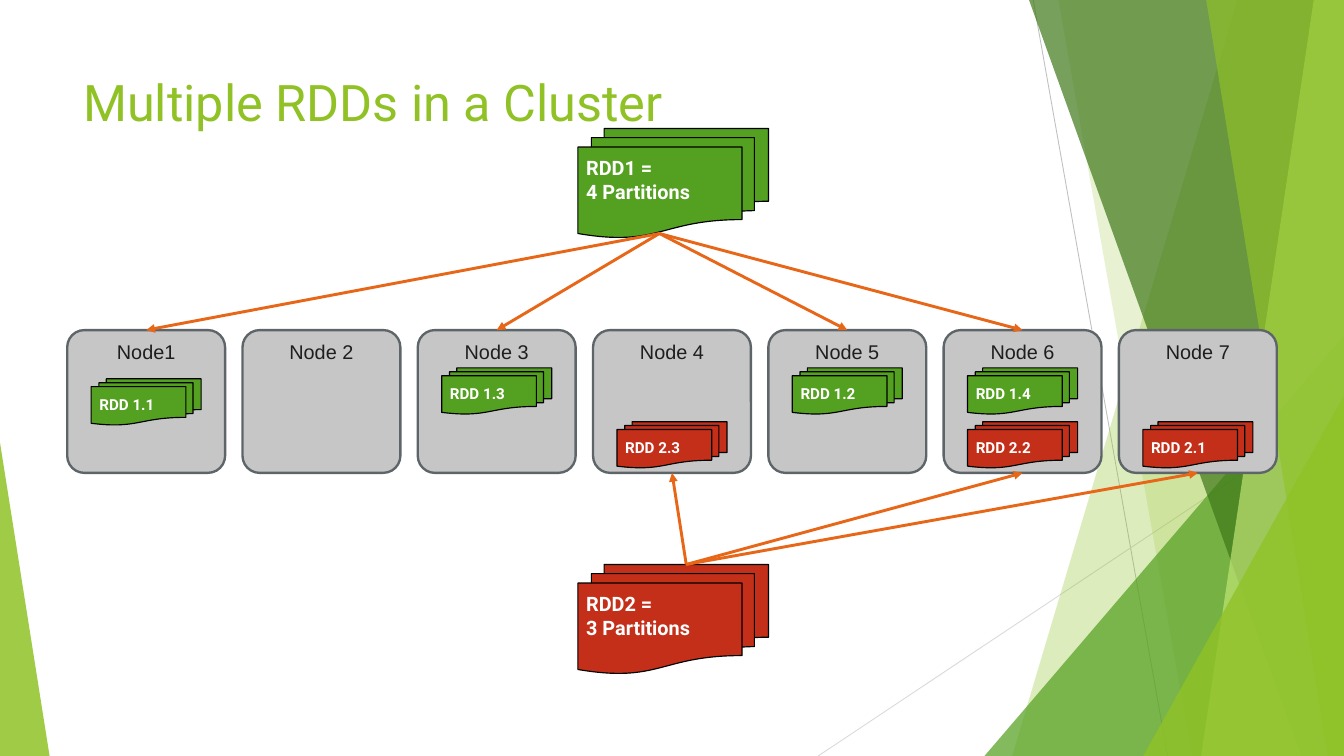
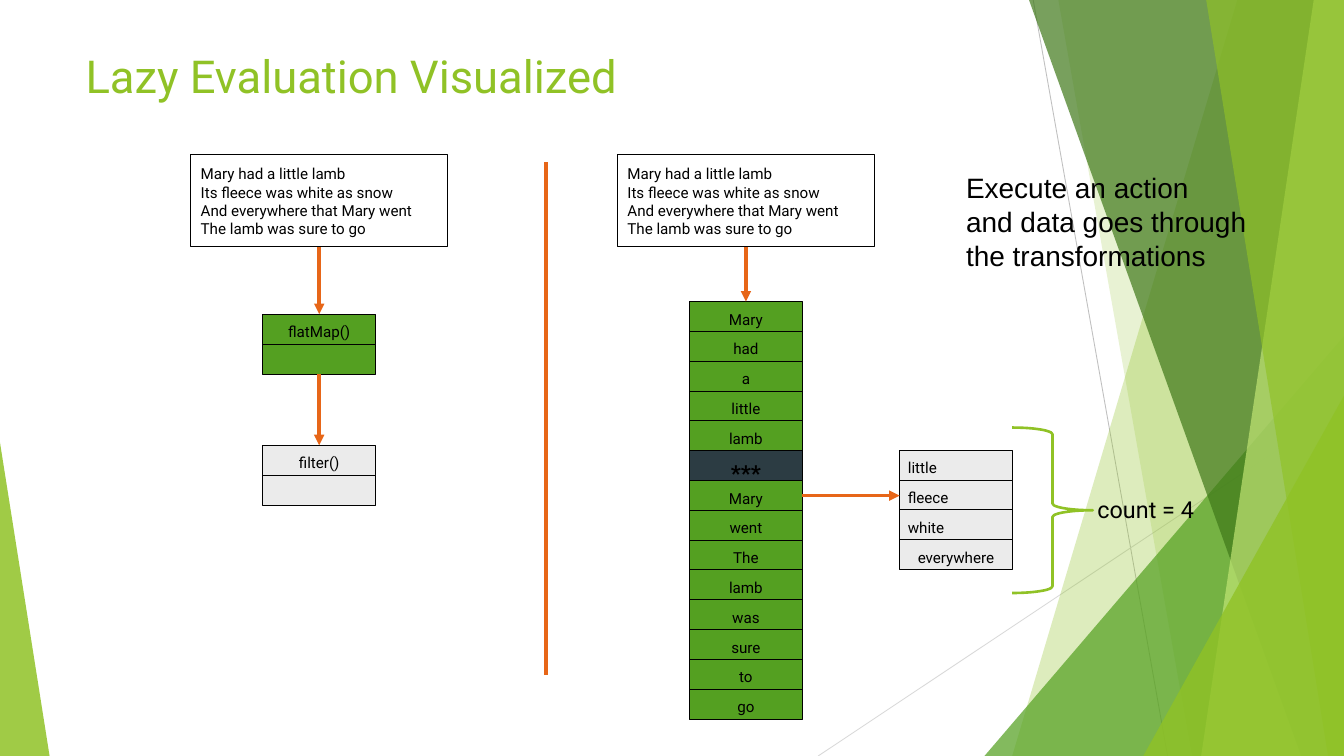
from lxml.etree import SubElement
from pptx import Presentation
from pptx.dml.color import RGBColor
from pptx.enum.shapes import MSO_CONNECTOR, MSO_SHAPE
from pptx.enum.text import MSO_ANCHOR, PP_ALIGN
from pptx.oxml.ns import qn
from pptx.util import Inches, Pt

COLORS = {
    "lime": "90C226", "green": "54A021", "dark green": "3F7819", "pale lime": "C0E474",
    "red": "C42F1A", "orange": "E76618", "slate": "2C3C43", "node": "C6C6C6",
    "node edge": "5E6568", "ink": "1E1E1E", "light": "EBEBEB", "black": "000000",
    "white": "FFFFFF", "hairline": "BFBFBF", "faint hairline": "D9D9D9",
}
SLIDE_W, SLIDE_H = 16, 9

# Backdrop, from back to front
HAIRLINES = [((12.3, 0), (13.9, 9), "hairline"), ((16, 4.83), (9.74, 9), "faint hairline")]
# band: top left x, bottom left x, colour, opacity
# triangle: left, top, width, apex (0 left, 1 right), colour, opacity
BACKDROP = [
    ("band", 14.73, 12.05, "lime", 30),
    ("band", 12.6, 14.19, "lime", 20),
    ("triangle", 11.72, 4, 4.28, 1, "green", 72),
    ("band", 12.25, 15.49, "dark green", 70),
    ("band", 15.64, 14.3, "pale lime", 70),
    ("band", 14.36, 15.81, "lime", 65),
    ("triangle", 13.61, 4.71, 2.39, 1, "lime", 80),
    ("triangle", 0, 5.27, 0.59, 0, "lime", 85),
]

# Cluster slide
NODES = ["Node1", "Node 2", "Node 3", "Node 4", "Node 5", "Node 6", "Node 7"]
# label, node number, top
RDDS = [
    {"label": "RDD1 = \v4 Partitions", "color": "green", "top": 1.53, "arrows": (7.85, 2.78),
     "node side": 0,
     "partitions": [("RDD 1.1", 1, 4.51), ("RDD 1.2", 5, 4.38),
                    ("RDD 1.3", 3, 4.38), ("RDD 1.4", 6, 4.38)]},
    {"label": "RDD2 = \v3 Partitions", "color": "red", "top": 6.72, "arrows": (8.17, 6.72),
     "node side": 2,
     "partitions": [("RDD 2.3", 4, 5.02), ("RDD 2.2", 6, 5.02), ("RDD 2.1", 7, 5.02)]},
]

# Lazy evaluation slide
POEM = ["Mary had a little lamb", "Its fleece was white as snow",
        "And everywhere that Mary went", "The lamb was sure to go"]
WORDS = ["Mary", "had", "a", "little", "lamb", "***", "Mary", "went",
         "The", "lamb", "was", "sure", "to", "go"]
KEPT_WORDS = ["little", "fleece", "white", "everywhere"]
ACTION = "Execute an action\vand data goes through\vthe transformations"
POEM_W, POEM_H, POEM_TOP = 3.06, 1.1, 1.84
CELL_W, CELL_H, CELL_PITCH = 1.34, 0.36, 0.355


def rgb(color):
    return RGBColor.from_string(COLORS[color])


def write(shape, text, size, color="black", font="Roboto", bold=False, align=PP_ALIGN.LEFT,
          anchor=MSO_ANCHOR.TOP, insets=(0.1, 0.1, 0.1, 0.1), wrap=True):
    """Fill the shape with text; insets run left, top, right, bottom."""
    frame = shape.text_frame
    frame.text = text
    frame.word_wrap = wrap
    frame.vertical_anchor = anchor
    frame.margin_left, frame.margin_top, frame.margin_right, frame.margin_bottom = map(
        Inches, insets)
    for paragraph in frame.paragraphs:
        paragraph.alignment = align
        for run in paragraph.runs:
            run.font.size, run.font.name, run.font.bold = Pt(size), font, bold
            run.font.color.rgb = rgb(color)


def paint(shape, fill=None, edge=None, edge_width=0.75, opacity=100):
    shape.shadow.inherit = False
    if fill:
        shape.fill.solid()
        shape.fill.fore_color.rgb = rgb(fill)
        if opacity < 100:
            srgb = shape.element.spPr.find(qn("a:solidFill")).find(qn("a:srgbClr"))
            SubElement(srgb, qn("a:alpha")).set("val", str(opacity * 1000))
    else:
        shape.fill.background()
    if edge:
        shape.line.color.rgb = rgb(edge)
        shape.line.width = Pt(edge_width)
    else:
        shape.line.fill.background()


def add_box(slide, preset, left, top, width, height, **look):
    shape = slide.shapes.add_shape(preset, *map(Inches, (left, top, width, height)))
    paint(shape, **look)
    return shape


def add_text(slide, left, top, width, height, text, size, **style):
    box = slide.shapes.add_textbox(*map(Inches, (left, top, width, height)))
    write(box, text, size, **style)
    return box


def add_line(slide, start, end, color="orange", width=3, arrow=False):
    line = slide.shapes.add_connector(MSO_CONNECTOR.STRAIGHT, *map(Inches, (*start, *end)))
    line.line.color.rgb = rgb(color)
    line.line.width = Pt(width)
    if arrow:
        SubElement(line.line._get_or_add_ln(), qn("a:tailEnd")).set("type", "triangle")
    SubElement(line.element.spPr, qn("a:effectLst"))
    return line


def add_band(slide, top_x, bottom_x, color, opacity):
    """Draw a four-cornered band that reaches the right edge of the slide."""
    corners = [(SLIDE_W, 0), (SLIDE_W, SLIDE_H), (bottom_x, SLIDE_H)]
    outline = slide.shapes.build_freeform(Inches(top_x), 0)
    outline.add_line_segments([(Inches(x), Inches(y)) for x, y in corners])
    paint(outline.convert_to_shape(), fill=color, opacity=opacity)


def add_triangle(slide, left, top, width, apex, color, opacity):
    triangle = add_box(slide, MSO_SHAPE.ISOSCELES_TRIANGLE, left, top, width, SLIDE_H - top,
                       fill=color, opacity=opacity)
    triangle.adjustments[0] = apex


def move_backdrop_to_layout(slide):
    """Draw the backdrop on an empty slide, then hand it to the layout all slides share."""
    for start, end, color in HAIRLINES:
        add_line(slide, start, end, color, 0.75)
    draw = {"band": add_band, "triangle": add_triangle}
    for kind, *details in BACKDROP:
        draw[kind](slide, *details)
    for shape in list(slide.shapes):
        slide.slide_layout.shapes.element.append(shape.element)


def add_title(slide, left, top, width, height, text, size):
    add_text(slide, left, top, width, height, text, size, color="lime",
             insets=(0.1, 0.05, 0.1, 0.05))


def add_cells(slide, left, top, words, color, left_aligned=()):
    """Stack one cell per word; an empty word gives an empty cell."""
    for row, word in enumerate(words):
        gap = word == "***"
        cell = add_box(slide, MSO_SHAPE.RECTANGLE, left, top + row * CELL_PITCH, CELL_W, CELL_H,
                       fill="slate" if gap else color, edge="black")
        if word:
            write(cell, word, 19 if gap else 13, bold=gap,
                  align=PP_ALIGN.LEFT if word in left_aligned else PP_ALIGN.CENTER)


def add_documents(slide, left, top, width, height, label, size, color):
    pages = add_box(slide, MSO_SHAPE.FLOWCHART_MULTIDOCUMENT, left, top, width, height,
                    fill=color, edge="black", edge_width=1)
    write(pages, label, size, color="white", bold=True)


def build_cluster(slide):
    add_title(slide, 0.89, 0.8, 11.28, 1.73, "Multiple RDDs in a Cluster", 43.2)
    first_left, last_right, node_w, node_top, node_h = 0.8, 15.2, 1.88, 3.93, 1.7
    pitch = (last_right - first_left - node_w) / (len(NODES) - 1)
    partition_w, partition_h = 1.31, 0.55

    nodes = []
    for index, name in enumerate(NODES):
        node = add_box(slide, MSO_SHAPE.ROUNDED_RECTANGLE, first_left + index * pitch, node_top,
                       node_w, node_h, fill="node", edge="node edge", edge_width=2)
        node.adjustments[0] = 0.12
        write(node, name, 17, color="ink", font="Arial", align=PP_ALIGN.CENTER,
              insets=(0.1, 0.05, 0.1, 0.1))
        nodes.append(node)

    for rdd in RDDS:
        for label, number, top in rdd["partitions"]:
            left = first_left + (number - 1) * pitch + (node_w - partition_w) / 2
            add_documents(slide, left, top, partition_w, partition_h, label, 13, rdd["color"])
        add_documents(slide, 6.88, rdd["top"], 2.27, 1.3, rdd["label"], 17, rdd["color"])
    for rdd in RDDS:
        for _, number, _ in rdd["partitions"]:
            arrow = add_line(slide, rdd["arrows"], rdd["arrows"], width=2.5, arrow=True)
            arrow.end_connect(nodes[number - 1], rdd["node side"])


def build_lazy_evaluation(slide):
    add_title(slide, 0.92, 0.52, 14.4, 0.51, "Lazy Evaluation Visualized", 38.9)
    add_text(slide, 11.38, 1.97, 4.08, 1.33, ACTION, 24, font="Arial", wrap=False,
             anchor=MSO_ANCHOR.MIDDLE, insets=(0.12,) * 4)

    plan_x, run_x = 3.8, 8.88
    poem_bottom = POEM_TOP + POEM_H
    for center in (plan_x, run_x):
        poem = add_box(slide, MSO_SHAPE.RECTANGLE, center - POEM_W / 2, POEM_TOP, POEM_W, POEM_H,
                       edge="black")
        write(poem, "\n".join(POEM), 13, insets=(0.12,) * 4)
    add_line(slide, (6.5, 1.93), (6.5, 8.03), width=3.75)

    flat_map_top, filter_top, words_top, kept_top, kept_left = 3.74, 5.3, 3.59, 5.36, 10.71
    add_cells(slide, plan_x - CELL_W / 2, flat_map_top, ["flatMap()", ""], "green")
    add_cells(slide, plan_x - CELL_W / 2, filter_top, ["filter()", ""], "light")
    add_cells(slide, run_x - CELL_W / 2, words_top, WORDS, "green")
    add_cells(slide, kept_left, kept_top, KEPT_WORDS, "light", left_aligned=KEPT_WORDS[:3])

    for start, end in [
        ((plan_x, poem_bottom), (plan_x, flat_map_top)),
        ((plan_x, flat_map_top + 2 * CELL_PITCH), (plan_x, filter_top)),
        ((run_x, poem_bottom), (run_x, words_top)),
        ((run_x + CELL_W / 2, 5.9), (kept_left, 5.9)),
    ]:
        add_line(slide, start, end, arrow=True)

    add_box(slide, MSO_SHAPE.RIGHT_BRACE, kept_left + CELL_W, 5.09, 0.96, 1.97,
            edge="lime", edge_width=2.25)
    count = add_text(slide, 12.72, 5.94, 1.84, 0.29, "count = 4", 20, align=PP_ALIGN.CENTER,
                     anchor=MSO_ANCHOR.MIDDLE, insets=(0,) * 4)
    count.text_frame.paragraphs[0].line_spacing = 0.85


def main():
    deck = Presentation()
    deck.slide_width, deck.slide_height = Inches(SLIDE_W), Inches(SLIDE_H)
    blank = deck.slide_layouts[6]
    cluster = deck.slides.add_slide(blank)
    move_backdrop_to_layout(cluster)
    build_cluster(cluster)
    build_lazy_evaluation(deck.slides.add_slide(blank))
    deck.save("out.pptx")


if __name__ == "__main__":
    main()
